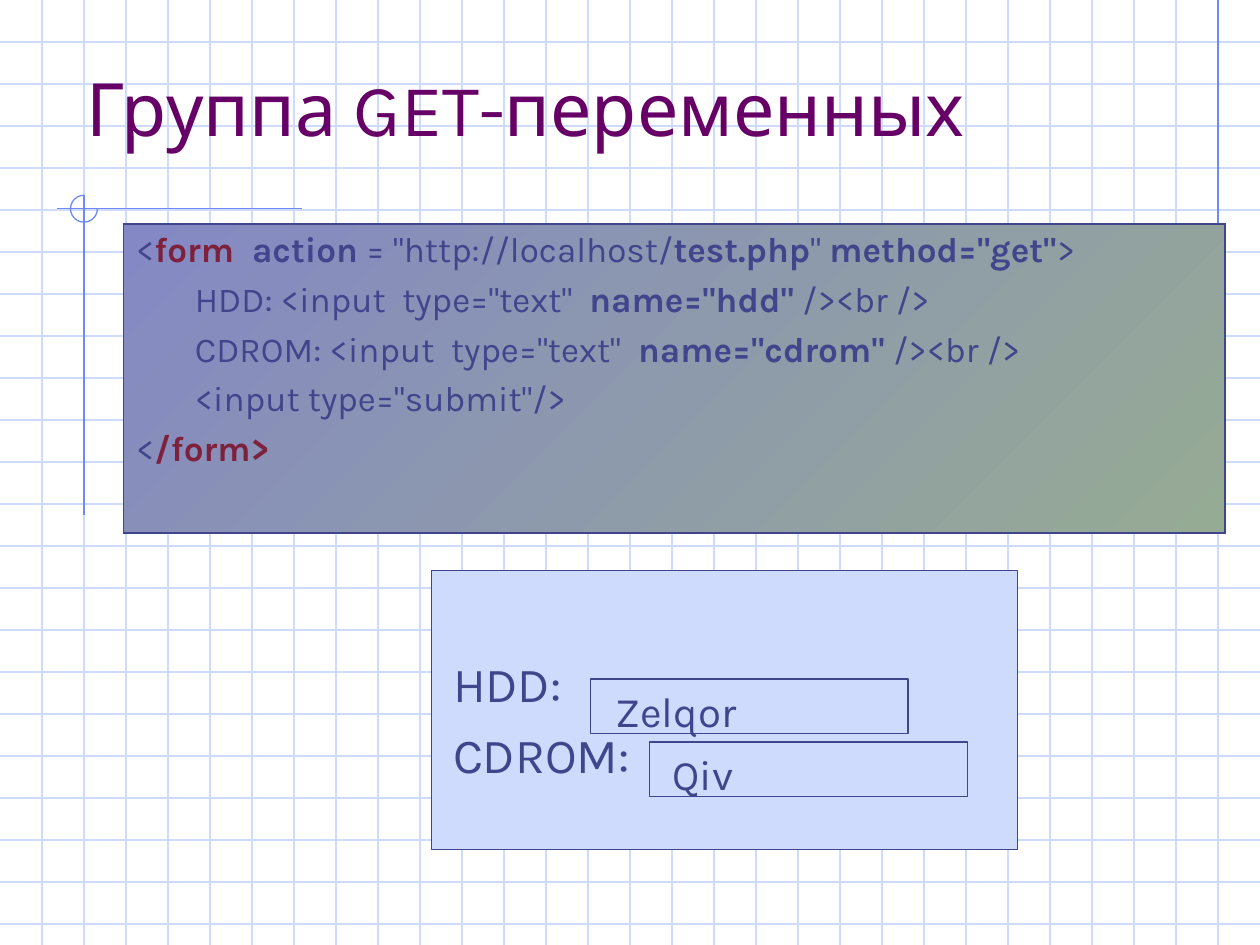
import pptx
import pptx.util
import pptx.dml.color
import pptx.enum.shapes
import pptx.enum.text
import pptx.oxml
import pptx.oxml.ns
from collections import namedtuple

COLUMNS, ROWS = 30, 22.5
CELL = pptx.util.Inches(10) / COLUMNS
FONT = "Karla"
COLORS = {
    "grid": "CFDBFD",
    "accent": "6F89F7",
    "ink": "40458C",
    "title": "660066",
    "tag": "7D213D",
    "gradient_start": "8488C4",
    "gradient_end": "96AB94",
}
CODE_INDENT = 1.4
CODE_LINES = [
    (0, [("<", "ink", False), ("form  ", "tag", True), ("action", "ink", True),
         (' = "http://localhost/', "ink", False), ("test.php", "ink", True),
         ('" ', "ink", False), ('method="get"', "ink", True), (">", "ink", False)]),
    (1, [('HDD: <input  type="text"  ', "ink", False),
         ('name="hdd"', "ink", True), (" /><br />", "ink", False)]),
    (1, [('CDROM: <input  type="text"  ', "ink", False),
         ('name="cdrom"', "ink", True), (" /><br />", "ink", False)]),
    (1, [('<input type="submit"/>', "ink", False)]),
    (0, [("<", "ink", False), ("/form>", "tag", True)]),
]

Box = namedtuple("Box", "left top width height")


def cells(count):
    return pptx.util.Emu(round(count * CELL))


def color(name):
    return pptx.dml.color.RGBColor.from_string(COLORS[name])


def place(box):
    return [cells(length) for length in box]


def inside(box, left, top, width, height):
    return Box(box.left + left, box.top + top, width, height)


def add_line(slide, start, end, color_name):
    line = slide.shapes.add_connector(
        pptx.enum.shapes.MSO_CONNECTOR.STRAIGHT,
        *[cells(length) for length in (*start, *end)])
    line.line.color.rgb = color(color_name)
    line.line.width = pptx.util.Pt(0.75)
    properties = line._element.spPr
    properties.append(properties.makeelement(pptx.oxml.ns.qn("a:effectLst"), {}))


def add_outline(slide, kind, box, line_name, fill_name=None):
    shape = slide.shapes.add_shape(kind, *place(box))
    shape.shadow.inherit = False
    if fill_name:
        shape.fill.solid()
        shape.fill.fore_color.rgb = color(fill_name)
    else:
        shape.fill.background()
    shape.line.color.rgb = color(line_name)
    shape.line.width = pptx.util.Pt(0.75)
    return shape


def add_text(slide, box, lines, size, color_name, space=0, anchor="TOP"):
    frame = slide.shapes.add_textbox(*place(box)).text_frame
    frame.word_wrap = True
    frame.vertical_anchor = pptx.enum.text.MSO_ANCHOR[anchor]
    frame.text = "\n".join(lines)
    for paragraph in frame.paragraphs:
        paragraph.space_before = pptx.util.Pt(space)
        paragraph.font.name = FONT
        paragraph.font.size = pptx.util.Pt(size)
        paragraph.font.color.rgb = color(color_name)


def draw_grid(slide, box):
    right, bottom = box.left + box.width, box.top + box.height
    for row in range(1, int(box.height) + 1):
        add_line(slide, (box.left, box.top + row), (right, box.top + row), "grid")
    for column in range(1, int(box.width)):
        add_line(slide, (box.left + column, box.top),
                 (box.left + column, bottom), "grid")


def draw_corner_mark(slide, box):
    center_x, center_y, radius = box.left + 0.65, box.top + 0.32, 0.32
    add_line(slide, (box.left, center_y), (box.left + box.width, center_y), "accent")
    add_line(slide, (center_x, box.top), (center_x, box.top + box.height), "accent")
    arc = add_outline(
        slide, pptx.enum.shapes.MSO_SHAPE.ARC,
        Box(center_x - radius, center_y - radius, 2 * radius, 2 * radius), "accent")
    arc.adjustments[0] = 0
    arc.adjustments[1] = 162


def draw_form(slide, box):
    rectangle = pptx.enum.shapes.MSO_SHAPE.RECTANGLE
    add_outline(slide, rectangle, box, "ink", "grid")
    fields = [("Zelqor", 3.78, 2.58, 0.3), ("Qiv", 5.19, 4.08, 0.24)]
    for value, left, top, offset in fields:
        add_outline(slide, rectangle, inside(box, left, top, 7.56, 1.29), "ink")
        add_text(slide, inside(box, left + offset, top, 4, 1.5), [value], 24, "ink")
    add_text(slide, inside(box, 0.21, 1.83, 12.5, 4.5),
             ["HDD:", "CDROM:"], 28, "ink", space=7)


def draw_borders(cell):
    properties = cell._tc.get_or_add_tcPr()
    for position, side in enumerate(("lnL", "lnR", "lnT", "lnB")):
        border = pptx.oxml.parse_xml(
            f'<a:{side} {pptx.oxml.ns.nsdecls("a")} w="{pptx.util.Pt(1.08)}">'
            f'<a:solidFill><a:srgbClr val="{COLORS["ink"]}"/></a:solidFill></a:{side}>')
        properties.insert(position, border)


def draw_code(slide, box):
    table = slide.shapes.add_table(1, 1, *place(box)).table
    table.first_row = False
    table.horz_banding = False
    cell = table.cell(0, 0)
    cell.fill.gradient()
    cell.fill.gradient_angle = 315
    for stop, name in zip(cell.fill.gradient_stops, ("gradient_start", "gradient_end")):
        stop.color.rgb = color(name)
    draw_borders(cell)
    frame = cell.text_frame
    for number, (level, runs) in enumerate(CODE_LINES):
        paragraph = frame.add_paragraph() if number else frame.paragraphs[0]
        paragraph.space_before = pptx.util.Pt(5)
        paragraph.font.name = FONT
        paragraph.font.size = pptx.util.Pt(20)
        paragraph._p.get_or_add_pPr().set("marL", str(cells(level * CODE_INDENT)))
        for text, color_name, bold in runs:
            run = paragraph.add_run()
            run.text = text
            run.font.bold = bold
            run.font.color.rgb = color(color_name)


def main():
    presentation = pptx.Presentation()
    presentation.slide_width = cells(COLUMNS)
    presentation.slide_height = cells(ROWS)
    slide = presentation.slides.add_slide(presentation.slide_layouts[6])
    draw_grid(slide, Box(0, 0, COLUMNS, ROWS))
    add_line(slide, (29, 0), (29, 7.75), "accent")
    draw_corner_mark(slide, Box(1.35, 4.65, 5.85, 7.62))
    draw_form(slide, Box(10.28, 13.59, 13.95, 6.63))
    add_text(slide, Box(1.77, 0, 25.5, 3.75), ["Группа GET-переменных"],
             42, "title", anchor="BOTTOM")
    draw_code(slide, Box(2.94, 5.34, 26.22, 7.35))
    presentation.save("out.pptx")


if __name__ == "__main__":
    main()
